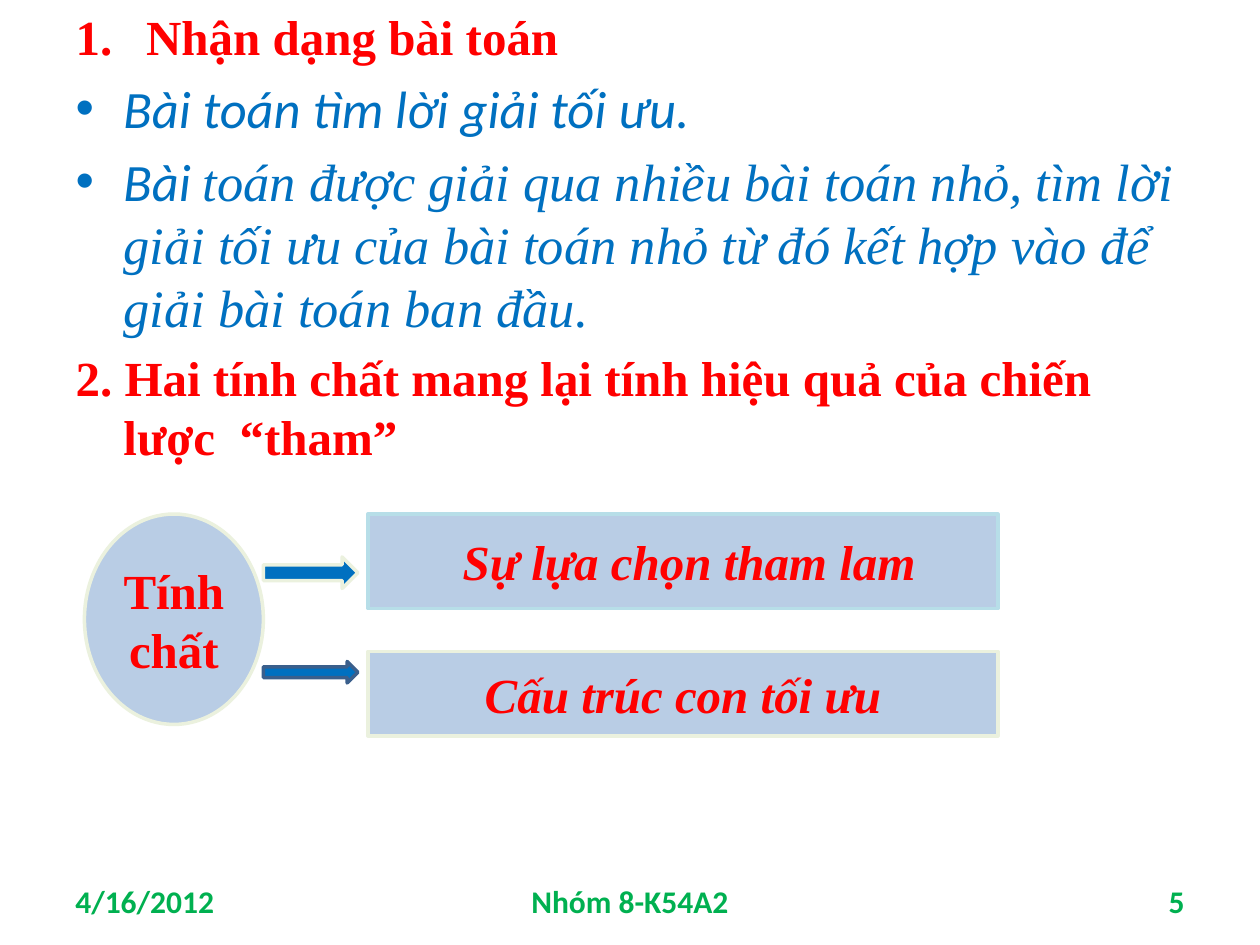
from lxml.etree import SubElement
from pptx import Presentation
from pptx.dml.color import RGBColor
from pptx.enum.shapes import MSO_SHAPE
from pptx.enum.text import MSO_ANCHOR, MSO_AUTO_SIZE, PP_ALIGN
from pptx.oxml.ns import qn
from pptx.util import Inches, Pt

COLORS = {
    "heading": "FF0000", "body": "0070C0", "footer": "00B050",
    "panel": "B9CDE5", "cream": "EBF1DE", "aqua": "B7DEE8", "navy": "3A5F8C",
}
SERIF, SANS = "Times New Roman", "Calibri"


def add_span(para, text, size, color, font=SERIF, bold=False, italic=False):
    span = para.add_run()
    span.text = text
    span.font.size = Pt(size)
    span.font.name = font
    span.font.bold = bold
    span.font.italic = italic
    span.font.color.rgb = RGBColor.from_string(COLORS[color])


def place(shape, box):
    shape.left, shape.top, shape.width, shape.height = map(Inches, box)


def set_list_style(para, indent, tag=None, **attributes):
    """Set the hanging indent in inches and, if a tag is given, the bullet."""
    properties = para._p.get_or_add_pPr()
    properties.set("marL", str(Inches(indent)))
    properties.set("indent", str(-Inches(indent)))
    if tag:
        SubElement(properties, qn(tag), attributes)


def fill_body(page, box):
    body = page.placeholders[1]
    place(body, box)
    frame = body.text_frame
    frame.word_wrap = True
    frame.auto_size = MSO_AUTO_SIZE.NONE
    heading = {"size": 28, "color": "heading", "bold": True}
    bullet = {"size": 30, "color": "body", "italic": True}

    para = frame.paragraphs[0]
    set_list_style(para, 0.56, "a:buAutoNum", type="arabicPeriod")
    add_span(para, "Nhận dạng bài toán", **heading)

    para = frame.add_paragraph()
    set_list_style(para, 0.38)
    add_span(para, "Bài toán tìm lời giải tối ưu.", font=SANS, **bullet)

    para = frame.add_paragraph()
    set_list_style(para, 0.38)
    add_span(para, "Bài ", font=SANS, **bullet)
    add_span(para, "toán được giải qua nhiều bài toán nhỏ, tìm lời giải tối ưu "
             "của bài toán nhỏ từ đó kết hợp vào để giải bài toán ban đầu.", **bullet)

    para = frame.add_paragraph()
    set_list_style(para, 0.38, "a:buNone")
    add_span(para, "2. Hai tính chất mang lại tính hiệu quả của chiến lược  “tham”",
             **heading)


def add_block(page, kind, box, fill, line, text="", italic=False):
    shape = page.shapes.add_shape(kind, *map(Inches, box))
    shape.shadow.inherit = False
    shape.fill.solid()
    shape.fill.fore_color.rgb = RGBColor.from_string(COLORS[fill])
    shape.line.color.rgb = RGBColor.from_string(COLORS[line])
    shape.line.width = Pt(2)
    if text:
        frame = shape.text_frame
        frame.word_wrap = True
        frame.vertical_anchor = MSO_ANCHOR.MIDDLE
        para = frame.paragraphs[0]
        para.alignment = PP_ALIGN.CENTER
        add_span(para, text, 28, "heading", bold=True, italic=italic)


def add_diagram(page, box):
    """Draw the oval on the left, with one arrow to each property."""
    left, top, width, height = box
    panel_width = 5
    panel_left = left + width - panel_width
    oval_width, oval_height = 1.42, 1.67
    rows = [
        # text, line, panel top and height, arrow line, arrow top and height
        (" Sự lựa chọn tham lam", "aqua", 0, 0.75, "cream", 0.34, 0.25),
        ("Cấu trúc con tối ưu", "cream", height - 0.67, 0.67, "navy", 1.17, 0.17),
    ]
    for text, line, offset, tall, _, _, _ in rows:
        add_block(page, MSO_SHAPE.RECTANGLE,
                  (panel_left, top + offset, panel_width, tall),
                  "panel", line, text, italic=True)
    add_block(page, MSO_SHAPE.OVAL, (left, top, oval_width, oval_height),
              "panel", "cream", "Tính chất")
    for _, _, _, _, line, offset, tall in rows:
        add_block(page, MSO_SHAPE.RIGHT_ARROW,
                  (left + oval_width, top + offset, 0.75, tall), "body", line)


def add_footer(page, box):
    left, top, width, height = box
    side, middle = 2.33, 3.17
    parts = [
        ("4/16/2012", left, side, PP_ALIGN.LEFT),
        ("Nhóm 8-K54A2", left + (width - middle) / 2, middle, PP_ALIGN.CENTER),
        ("5", left + width - side, side, PP_ALIGN.RIGHT),
    ]
    for text, start, wide, alignment in parts:
        label = page.shapes.add_textbox(*map(Inches, (start, top, wide, height)))
        frame = label.text_frame
        frame.word_wrap = True
        frame.vertical_anchor = MSO_ANCHOR.MIDDLE
        para = frame.paragraphs[0]
        para.alignment = alignment
        add_span(para, text, 18, "footer", font=SANS, bold=True)


def main():
    deck = Presentation()
    deck.slide_width, deck.slide_height = Inches(10), Inches(7.5)
    page = deck.slides.add_slide(deck.slide_layouts[1])
    title = page.shapes.title.element
    title.getparent().remove(title)
    fill_body(page, (0.5, 0, 9, 6.7))
    add_footer(page, (0.5, 6.95, 9, 0.4))
    add_diagram(page, (0.67, 4.08, 7.25, 1.76))
    deck.save("out.pptx")


if __name__ == "__main__":
    main()
